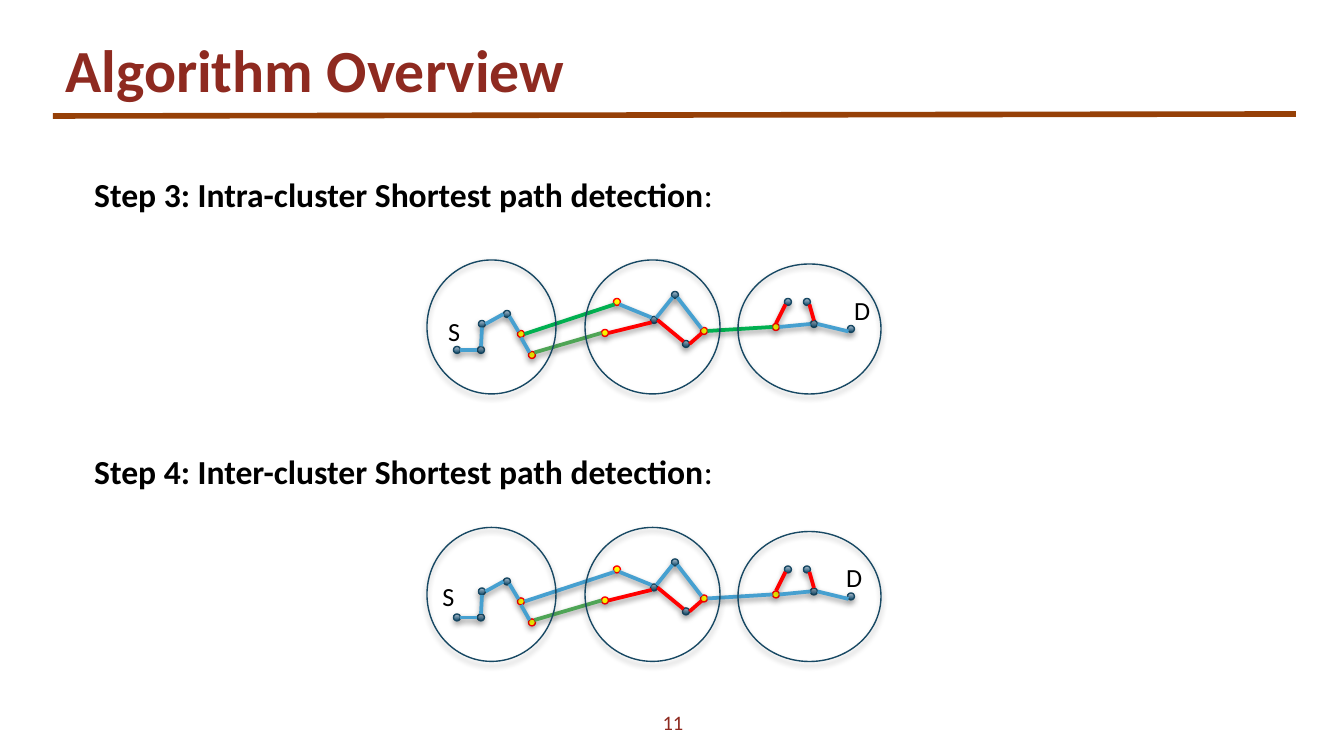
from dataclasses import dataclass
from lxml.etree import SubElement as Sub
from pptx import Presentation
from pptx.dml.color import RGBColor as Rgb
from pptx.enum.shapes import MSO_CONNECTOR as Link, MSO_SHAPE as Form
from pptx.enum.text import MSO_ANCHOR as Anchor, MSO_AUTO_SIZE as Auto, PP_ALIGN as Align
from pptx.oxml.ns import qn
from pptx.util import Pt

SCALE = 914400 / 134.4


@dataclass(frozen=True)
class Theme:
    font: str = "Calibri"
    title: str = "8E2A20"
    rule: str = "964007"
    text: str = "000000"
    ring: str = "174863"
    dark: str = "0E4C6E"
    pale: str = "B2C1D0"
    gate: str = "FFFF00"
    red: str = "FF0000"
    blue: str = "46A0D0"
    green: str = "00B050"
    moss: str = "4FA556"
    head: int = 32
    step: int = 18
    tag: int = 14
    page: int = 11


T = Theme()
DOT = 7

# Node centres in the upper network
NODES = dict(
    a=(457, 350), b=(481, 350), c=(482, 324), d=(507, 314), e=(521, 334),
    f=(532, 355), g=(617, 302), h=(605, 333), i=(654, 320), j=(675, 295),
    k=(704, 331), l=(686, 344), m=(776, 327), n=(788, 302), o=(807, 302),
    p=(814, 324), q=(851, 329))
GATES = "efghkm"
RINGS = [(427, 260, 129, 134), (585, 260, 135, 134), (738, 264, 143, 130)]

# Compass points on a node, as parts of its radius
SIDES = dict(n=(0, -1), s=(0, 1), e=(1, 0), w=(-1, 0),
             ne=(.7, -.7), nw=(-.7, -.7), se=(.7, .7), sw=(-.7, .7))

# Edges: node and side, node and side, colour
EDGES = [
    ("b", "n", "c", "s", T.blue), ("c", "e", "d", "w", T.blue),
    ("d", "se", "e", "nw", T.blue), ("a", "e", "b", "w", T.blue),
    ("e", "e", "g", "sw", T.green), ("i", "ne", "j", "sw", T.blue),
    ("g", "se", "i", "nw", T.blue), ("j", "se", "k", "nw", T.blue),
    ("e", "s", "f", "nw", T.blue), ("f", "ne", "h", "w", T.moss),
    ("h", "e", "i", "sw", T.red), ("i", "e", "l", "nw", T.red),
    ("k", "e", "m", "w", T.green), ("l", "e", "k", "sw", T.red),
    ("m", "n", "n", "sw", T.red), ("m", "e", "p", "w", T.blue),
    ("p", "e", "q", "sw", T.blue), ("p", "n", "o", "se", T.red)]


def px(*vals):
    return [round(v * SCALE) for v in vals]


def style(obj, **vals):
    for name, val in vals.items():
        setattr(obj, name, val)


def ink(line, color, width):
    line.color.rgb = Rgb.from_string(color)
    line.width = Pt(width)


def shade(shape, alpha=0, dist=0):
    """Give a soft shadow below, or none when alpha is 0."""
    fx = Sub(shape._element.spPr, qn("a:effectLst"))
    if alpha:
        out = Sub(fx, qn("a:outerShdw"), blurRad=str(Pt(3.1)), dist=str(Pt(dist)),
                  dir="5400000", rotWithShape="0")
        tint = Sub(out, qn("a:srgbClr"), val="000000")
        Sub(tint, qn("a:alpha"), val=str(alpha * 1000))


def write(par, text, size, color, bold=False):
    run = par.add_run()
    run.text = text
    style(run.font, name=T.font, size=Pt(size), bold=bold)
    run.font.color.rgb = Rgb.from_string(color)


def label(slide, box, parts, size, color=T.text, align=Align.LEFT, **frame):
    body = slide.shapes.add_textbox(*px(*box)).text_frame
    style(body, word_wrap=True, **frame)
    par = body.paragraphs[0]
    par.alignment = align
    for text, bold in parts:
        write(par, text, size, color, bold)


def stroke(slide, start, end, color, width):
    line = slide.shapes.add_connector(Link.STRAIGHT, *px(*start, *end))
    ink(line.line, color, width)
    return line


def oval(slide, box, color):
    shape = slide.shapes.add_shape(Form.OVAL, *px(*box))
    ink(shape.line, color, 0.75)
    shade(shape, 35, 1.8)
    return shape.fill


def node(slide, key, drop):
    x, y = NODES[key]
    gate = key in GATES
    fill = oval(slide, (x - DOT / 2, y + drop - DOT / 2, DOT, DOT),
                T.red if gate else T.ring)
    if gate:
        fill.solid()
        fill.fore_color.rgb = Rgb.from_string(T.gate)
    else:
        fill.gradient()
        fill.gradient_angle = 90
        for stop, color in zip(fill.gradient_stops, (T.dark, T.pale)):
            stop.color.rgb = Rgb.from_string(color)


def port(key, side, drop):
    (x, y), (dx, dy) = NODES[key], SIDES[side]
    return x + dx * DOT / 2, y + drop + dy * DOT / 2


def network(slide, drop, swap):
    """Draw nodes, edges and cluster rings; swap recolours edges."""
    for key in NODES:
        node(slide, key, drop)
    for a, out, b, into, color in EDGES:
        edge = stroke(slide, port(a, out, drop), port(b, into, drop),
                      swap.get(color, color), 2)
        shade(edge, 38, 1.6)
    for x, y, w, h in RINGS:
        oval(slide, (x, y + drop, w, h), T.ring).background()


def heading(slide, text):
    title = slide.shapes.title
    left, top, width, height = px(52, 20, 1003, 85)
    style(title, left=left, top=top, width=width, height=height)
    body = title.text_frame
    style(body, vertical_anchor=Anchor.BOTTOM, margin_top=0, margin_bottom=0,
          word_wrap=True, auto_size=Auto.NONE)
    par = body.paragraphs[0]
    par.alignment = Align.LEFT
    write(par, text, T.head, T.title, True)


def main():
    deck = Presentation()
    deck.slide_width, deck.slide_height = px(1344, 756)
    slide = deck.slides.add_slide(deck.slide_layouts[5])

    # Title and rule
    heading(slide, "Algorithm Overview")
    shade(stroke(slide, (53, 116), (1296, 114), T.rule, 3))

    # Steps: name, text top, network drop, edge swap, S and D places
    steps = [
        ("Step 3: Intra", 167, 0, {}, (435, 309), (841, 288)),
        ("Step 4: Inter", 444, 267.5, {T.green: T.blue}, (429, 574), (833, 555))]
    for name, top, drop, swap, src, dest in steps:
        parts = [(name + "-cluster Shortest path detection", True), (":", False)]
        label(slide, (81, top, 1031, 54), parts, T.step, auto_size=Auto.SHAPE_TO_FIT_TEXT)
        network(slide, drop, swap)
        for text, spot in (("S", src), ("D", dest)):
            label(slide, (*spot, 43, 46), [(text, False)], T.tag,
                  auto_size=Auto.SHAPE_TO_FIT_TEXT)

    # Page number
    label(slide, (605, 702, 136, 40), [("11", False)], T.page, T.title,
          Align.CENTER, vertical_anchor=Anchor.MIDDLE)
    deck.save("out.pptx")


main()
